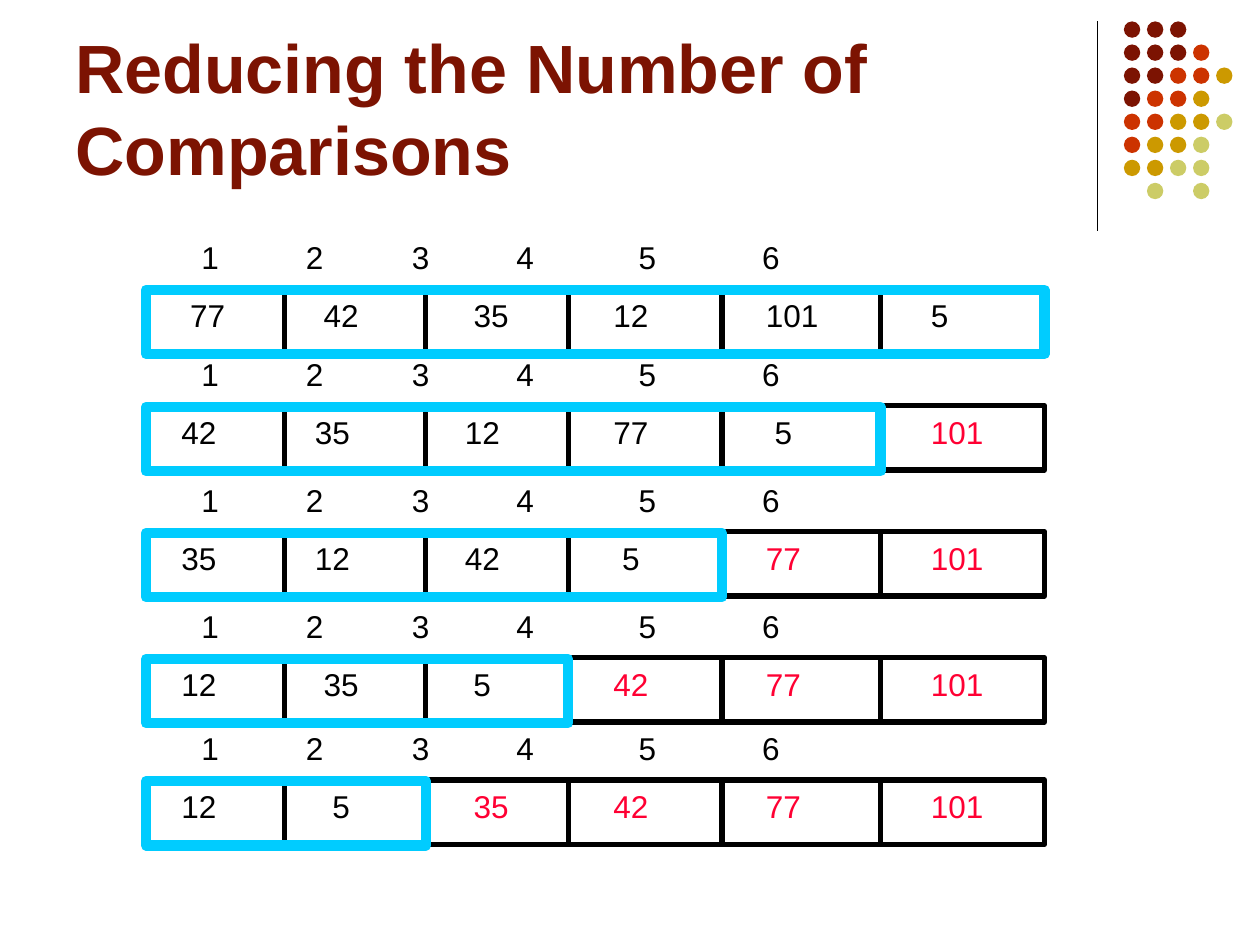
from dataclasses import dataclass

from lxml.etree import SubElement
from pptx import Presentation
from pptx.dml.color import RGBColor
from pptx.enum.shapes import MSO_CONNECTOR, MSO_SHAPE
from pptx.enum.text import MSO_ANCHOR
from pptx.oxml.ns import qn
from pptx.util import Inches, Pt


@dataclass(frozen=True)
class Theme:
    font: str = "Arial"
    title_size: int = 39
    body_size: int = 18
    title: str = "7C1302"
    ink: str = "000000"
    placed: str = "FF0033"
    active: str = "00CCFF"
    dots: tuple = ("7C1302", "CC3300", "CC9900", "CCCC66")


THEME = Theme()

# Each digit picks a dot colour from the theme; a space leaves a gap.
DOT_ROWS = ["000", "0001", "00112", "0112", "11223", "1223", "2233", " 3 3"]

LEFT, RIGHT, CELL_HEIGHT = 1.16, 8.29, 0.51
DIVIDERS = [2.26, 3.38, 4.51, 5.73, 6.99]
VALUE_LEFTS = [1.34, 2.4, 3.59, 4.77, 5.91, 7.22]
INDEX_TABS = [0.83, 1.67, 2.5, 3.47, 4.45]
DIGIT_WIDTH, INDENT = 0.14, 0.07

# Top, number of cells still compared, (value, indent steps) per cell
PASSES = [
    (2.29, 6, [(77, 1), (42, 1), (35, 1), (12, 0), (101, 1), (5, 1)]),
    (3.22, 5, [(42, 0), (35, 0), (12, 0), (77, 0), (5, 2), (101, 1)]),
    (4.22, 4, [(35, 0), (12, 0), (42, 0), (5, 1), (77, 1), (101, 1)]),
    (5.22, 3, [(12, 0), (35, 1), (5, 1), (42, 0), (77, 1), (101, 1)]),
    (6.19, 2, [(12, 0), (5, 2), (35, 1), (42, 0), (77, 1), (101, 1)]),
]


def add_text(shapes, text, box, wrap=False, tabs=(), anchor=MSO_ANCHOR.TOP, **font):
    tf = shapes.add_textbox(*map(Inches, box)).text_frame
    tf.word_wrap = wrap
    tf.vertical_anchor = anchor
    p = tf.paragraphs[0]
    if tabs:
        tab_list = SubElement(p._p.get_or_add_pPr(), qn("a:tabLst"))
        for pos in tabs:
            SubElement(tab_list, qn("a:tab"), pos=str(Inches(pos)), algn="l")
    r = p.add_run()
    r.text = text
    color = font.pop("color", THEME.ink)
    r.font.color.rgb = RGBColor.from_string(color)
    style = {"name": THEME.font, "size": Pt(THEME.body_size), **font}
    for name, value in style.items():
        setattr(r.font, name, value)


def add_line(shapes, x, top, bottom, width):
    line = shapes.add_connector(
        MSO_CONNECTOR.STRAIGHT, Inches(x), Inches(top), Inches(x), Inches(bottom))
    line.line.color.rgb = RGBColor.from_string(THEME.ink)
    line.line.width = Pt(width)
    SubElement(line._element.spPr, qn("a:effectLst"))


def add_frame(shapes, top, right, color, width):
    sp = shapes.add_shape(
        MSO_SHAPE.RECTANGLE, Inches(LEFT), Inches(top),
        Inches(right - LEFT), Inches(CELL_HEIGHT))
    sp.shadow.inherit = False
    sp.fill.background()
    sp.line.color.rgb = RGBColor.from_string(color)
    sp.line.width = Pt(width)


def add_dots(shapes):
    size, pitch = Inches(0.13), 0.183
    for row, codes in enumerate(DOT_ROWS):
        for col, code in enumerate(codes):
            if code == " ":
                continue
            dot = shapes.add_shape(
                MSO_SHAPE.OVAL, Inches(8.92 + col * pitch),
                Inches(0.17 + row * pitch), size, size)
            dot.shadow.inherit = False
            dot.fill.solid()
            dot.fill.fore_color.rgb = RGBColor.from_string(THEME.dots[int(code)])
            dot.line.fill.background()


def add_pass(shapes, top, active, values):
    """Draw one pass: array cells, values, indexes and the compared range."""
    add_frame(shapes, top, RIGHT, THEME.ink, 3)
    for x in DIVIDERS:
        add_line(shapes, x, top, top + CELL_HEIGHT, 3)
    for i, (x, (value, steps)) in enumerate(zip(VALUE_LEFTS, values)):
        text = str(value)
        box = (x + steps * INDENT, top + 0.01, 0.2 + DIGIT_WIDTH * len(text), 0.5)
        add_text(shapes, text, box, color=THEME.ink if i < active else THEME.placed)
    add_text(shapes, "1\t2\t3\t4\t5\t6", (1.5, top - 0.45, 6.28, 0.5),
             wrap=True, tabs=INDEX_TABS)
    add_frame(shapes, top + 0.01, [*DIVIDERS, RIGHT][active - 1], THEME.active, 6)


def main():
    prs = Presentation()
    prs.slide_width, prs.slide_height = Inches(10), Inches(7.5)
    s = prs.slides.add_slide(prs.slide_layouts[6])
    add_line(s.shapes, 8.71, 0.17, 1.83, 0.75)
    add_dots(s.shapes.add_group_shape().shapes)
    add_text(s.shapes, "Reducing the Number of Comparisons", (0.5, 0.13, 8.25, 1.42),
             wrap=True, anchor=MSO_ANCHOR.BOTTOM, color=THEME.title,
             size=Pt(THEME.title_size), bold=True)
    for top, active, values in PASSES:
        add_pass(s.shapes.add_group_shape().shapes, top, active, values)
    prs.save("out.pptx")


if __name__ == "__main__":
    main()
